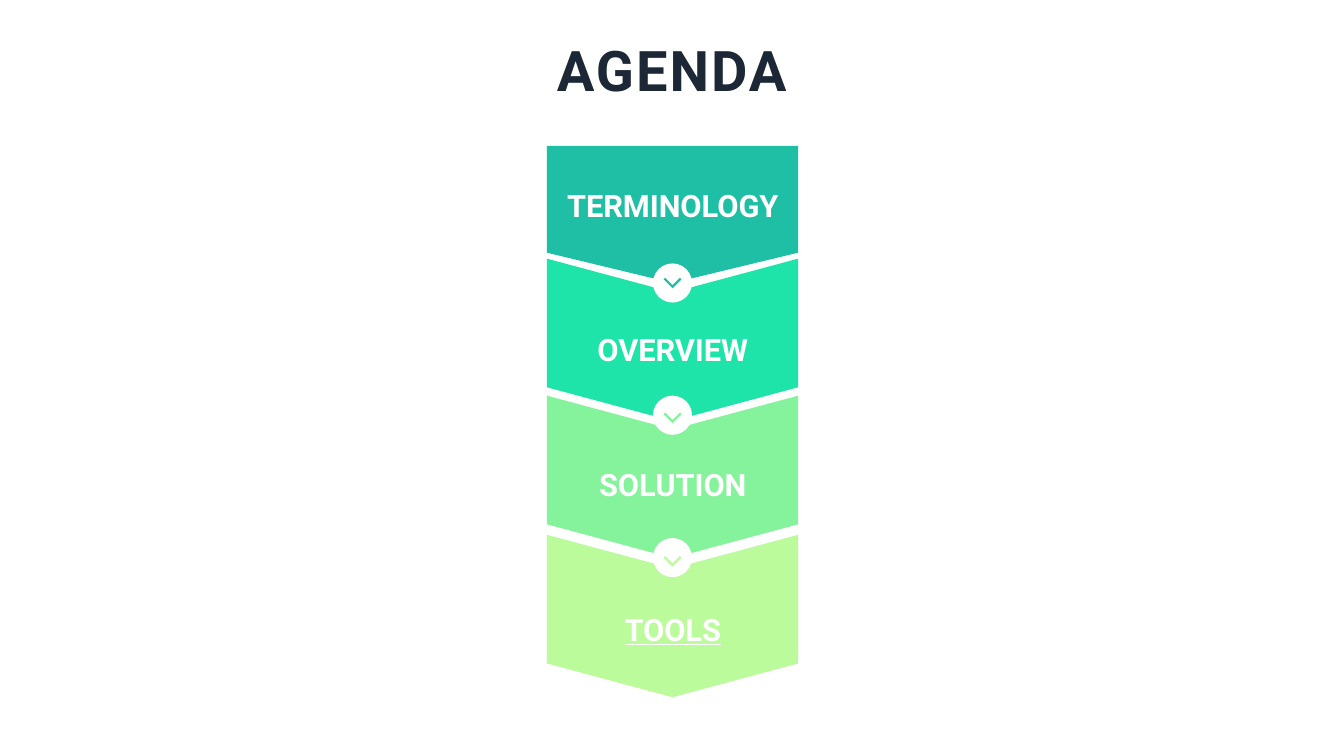
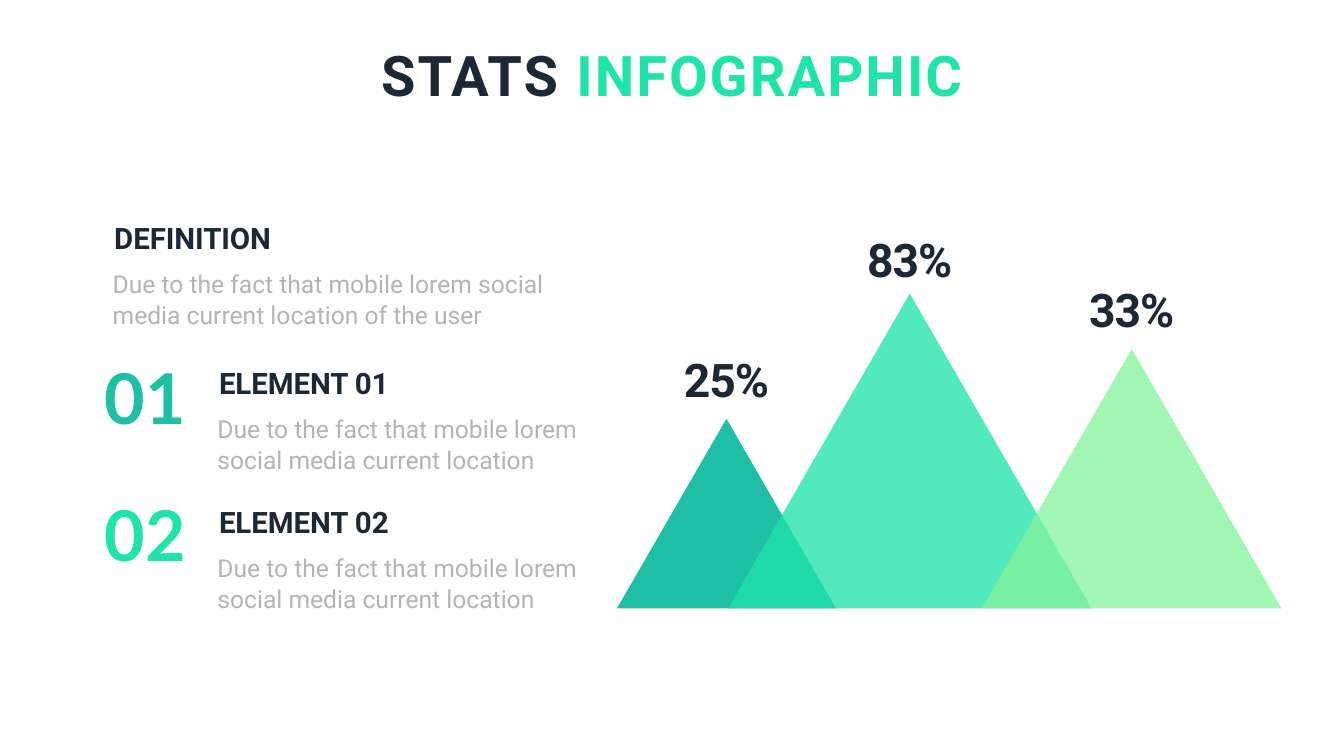
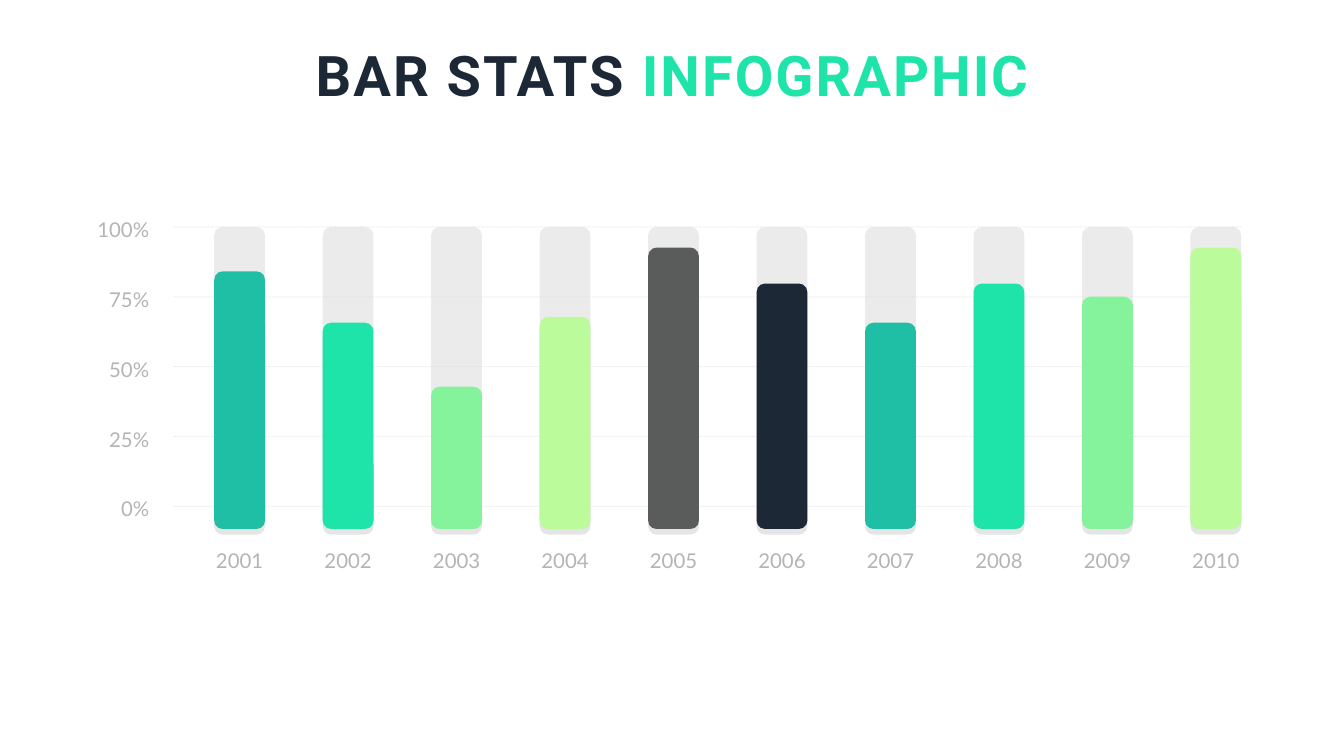
import dataclasses
import math
import typing

import lxml.etree
import pptx
import pptx.dml.color
import pptx.enum.dml
import pptx.enum.shapes
import pptx.enum.text
import pptx.oxml.ns
import pptx.util

Cm = pptx.util.Cm
Pt = pptx.util.Pt
KIND = pptx.enum.shapes.MSO_SHAPE
ALIGN = pptx.enum.text.PP_ALIGN
ANCHOR = pptx.enum.text.MSO_ANCHOR

TEAL, MINT, GREEN, LIME = "1EBFA4", "1FE4A9", "84F39B", "BBFB9B"
INK, SLATE, GREY, TRACK = "1C2835", "5A5C5B", "B4B4B4", "D9D9D9"
WHITE, BLACK = "FFFFFF", "000000"
WIDE, HIGH = 25.4, 14.29
MID = WIDE / 2


@dataclasses.dataclass(frozen=True)
class Style:
    size: float
    color: str
    font: str = "Roboto"
    bold: bool = True
    align: typing.Any = ALIGN.LEFT
    track: float = 0
    space: typing.Any = None
    inset: tuple = (0.25, 0.13)
    anchor: typing.Any = ANCHOR.TOP
    wrap: bool = False
    grow: bool = True


@dataclasses.dataclass(frozen=True)
class Band:
    text: str
    kind: typing.Any
    top: float
    length: float
    notch: float
    color: str
    line: float


@dataclasses.dataclass(frozen=True)
class Badge:
    disc: float
    arrow: float
    color: str


@dataclasses.dataclass(frozen=True)
class Peak:
    text: str
    left: float
    width: float
    label: float
    color: str
    alpha: int


@dataclasses.dataclass(frozen=True)
class Item:
    head: str
    body: str
    left: float
    top: float
    width: float


@dataclasses.dataclass(frozen=True)
class Bar:
    height: float
    color: str


TITLE = Style(30, INK, align=ALIGN.CENTER, track=1.1, inset=(0, 0), anchor=ANCHOR.MIDDLE)
BAND = Style(16.5, WHITE, align=ALIGN.CENTER)
HEAD = Style(15.75, INK)
BODY = Style(13.13, GREY, bold=False, space=Pt(16.6), wrap=True)
SHARE = Style(24.8, INK, align=ALIGN.CENTER, track=-0.6, inset=(0, 0), anchor=ANCHOR.MIDDLE)
TICK = Style(10.9, GREY, "Lato", False, ALIGN.RIGHT, space=0.95, inset=(0.18, 0.1))
YEAR = dataclasses.replace(TICK, align=ALIGN.CENTER, inset=(0, 0.1), grow=False)

BANDS = [
    Band("TERMINOLOGY", KIND.PENTAGON, 1.68, 2.59, 0.221, TEAL, 3.4),
    Band("OVERVIEW", KIND.CHEVRON, 4.05, 3.07, 0.208, MINT, 6.12),
    Band("SOLUTION", KIND.CHEVRON, 6.64, 3.07, 0.208, GREEN, 8.67),
    Band("TOOLS", KIND.CHEVRON, 9.27, 3.07, 0.208, LIME, 11.41),
]
BADGES = [Badge(4.98, 5.18, TEAL), Badge(7.48, 7.73, GREEN), Badge(10.17, 10.44, LIME)]
ARROW = [(0, 0.03), (0.03, 0), (0.2, 0.17), (0.03, 0.34), (0, 0.31), (0.14, 0.17)]

PEAKS = [
    Peak("25%", 11.66, 4.14, 6.63, TEAL, 100),
    Peak("83%", 13.76, 6.87, 4.37, MINT, 77),
    Peak("33%", 18.56, 5.66, 5.31, GREEN, 75),
]
SHORT = "Due to the fact that mobile lorem social media current location"
ITEMS = [
    Item("DEFINITION", SHORT + " of the user", 1.91, 4.03, 9.7),
    Item("ELEMENT 01", SHORT, 3.89, 6.78, 7.8),
    Item("ELEMENT 02", SHORT, 3.89, 9.4, 7.8),
]
MARKS = [("01", 6.58, TEAL), ("02", 9.17, MINT)]

BARS = [
    Bar(4.87, TEAL), Bar(3.9, MINT), Bar(2.69, GREEN), Bar(4.01, LIME), Bar(5.32, SLATE),
    Bar(4.64, INK), Bar(3.9, TEAL), Bar(4.64, MINT), Bar(4.39, GREEN), Bar(5.32, LIME),
]


def tint(fill: typing.Any, color: str) -> None:
    fill.solid()
    fill.fore_color.rgb = pptx.dml.color.RGBColor.from_string(color)


def node(root: typing.Any, tag: str, **keys: str) -> typing.Any:
    return lxml.etree.SubElement(root, pptx.oxml.ns.qn(tag), **keys)


def fade(shape: typing.Any, alpha: int) -> None:
    if alpha < 100:
        color = next(shape.element.spPr.iter(pptx.oxml.ns.qn("a:srgbClr")))
        node(color, "a:alpha", val=str(alpha * 1000))


def paint(shape: typing.Any, color: str, alpha: int = 100) -> None:
    tint(shape.fill, color)
    shape.line.fill.background()
    shape.shadow.inherit = False
    fade(shape, alpha)


def form(slide: typing.Any, kind: typing.Any, left: float, top: float, width: float,
         height: float, color: str, alpha: int = 100) -> typing.Any:
    shape = slide.shapes.add_shape(kind, Cm(left), Cm(top), Cm(width), Cm(height))
    paint(shape, color, alpha)
    return shape


def trace(shapes: typing.Any, points: list, left: float, top: float, color: str,
          alpha: int = 100) -> typing.Any:
    spots = [(Cm(x), Cm(y)) for x, y in points]
    pen = shapes.build_freeform(*spots[0])
    pen.add_line_segments(spots[1:], close=True)
    shape = pen.convert_to_shape(Cm(left), Cm(top))
    paint(shape, color, alpha)
    return shape


def write(slide: typing.Any, parts: list, left: float, top: float, width: float,
          height: float, style: Style, under: bool = False) -> None:
    box = slide.shapes.add_textbox(Cm(left), Cm(top), Cm(width), Cm(height))
    frame = box.text_frame
    frame.word_wrap = style.wrap
    if style.grow:
        frame.auto_size = pptx.enum.text.MSO_AUTO_SIZE.SHAPE_TO_FIT_TEXT
    frame.vertical_anchor = style.anchor
    frame.margin_left = frame.margin_right = Cm(style.inset[0])
    frame.margin_top = frame.margin_bottom = Cm(style.inset[1])
    line = frame.paragraphs[0]
    line.alignment = style.align
    if style.space:
        line.line_spacing = style.space
    for text, color in parts:
        run = line.add_run()
        run.text = text
        run.font.name = style.font
        run.font.size = Pt(style.size)
        run.font.bold = style.bold
        if under:
            run.font.underline = True
        tint(run.font.fill, color)
        if style.track:
            run.font._element.set("spc", str(round(style.track * 100)))


def label(slide: typing.Any, text: str, left: float, top: float, width: float,
          height: float, style: Style, under: bool = False) -> None:
    write(slide, [(text, style.color)], left, top, width, height, style, under)


def title(slide: typing.Any, parts: list, top: float, width: float) -> None:
    write(slide, parts, MID - width / 2, top, width, 1.27, TITLE)


def rule(slide: typing.Any, left: float, right: float, top: float) -> None:
    line = slide.shapes.add_connector(
        pptx.enum.shapes.MSO_CONNECTOR.STRAIGHT, Cm(left), Cm(top), Cm(right), Cm(top))
    tint(line.line.fill, GREY)
    line.line.width = Pt(0.5)
    line.line.dash_style = pptx.enum.dml.MSO_LINE.SQUARE_DOT
    fade(line, 20)
    node(line.element.spPr, "a:effectLst")


def shade(shape: typing.Any) -> None:
    effects = shape.element.spPr.find(pptx.oxml.ns.qn("a:effectLst"))
    cast = node(effects, "a:outerShdw", blurRad="0", dist=str(Pt(3)), dir="5400000",
                algn="t", rotWithShape="0")
    node(node(cast, "a:srgbClr", val=BLACK), "a:alpha", val="10000")


def agenda(slide: typing.Any) -> None:
    axis = MID + 0.01
    title(slide, [("AGENDA", INK)], 0.68, 7.87)
    for band in BANDS:
        shape = form(slide, band.kind, axis - band.length / 2, band.top, band.length, 4.75,
                     band.color)
        shape.rotation = 90
        shape.adjustments[0] = band.notch
    for badge in BADGES:
        form(slide, KIND.OVAL, axis - 0.37, badge.disc, 0.74, 0.74, WHITE)
    for badge in BADGES:
        arrow = trace(slide.shapes, ARROW, axis - 0.1, badge.arrow, badge.color)
        arrow.rotation = 90
    for band in BANDS:
        style = dataclasses.replace(BAND, wrap=band.text != "TERMINOLOGY")
        label(slide, band.text, axis - 2.46, band.line, 4.93, 0.97, style,
              band.text == "TOOLS")


def stats(slide: typing.Any) -> None:
    base = 11.5
    group = slide.shapes.add_group_shape()
    for peak in PEAKS:
        rise = peak.width * math.sqrt(3) / 2
        points = [(peak.width / 2, 0), (0, rise), (peak.width, rise)]
        trace(group.shapes, points, peak.left, base - rise, peak.color, peak.alpha)
    for text, top, color in MARKS:
        style = Style(37.5, color, "Lato", align=ALIGN.CENTER)
        label(slide, text, 1.72, top, 2.06, 1.85, style)
    for item in ITEMS:
        label(slide, item.head, item.left, item.top, 3.76, 0.94, HEAD)
        label(slide, item.body, item.left - 0.03, item.top + 0.89, item.width, 1.47, BODY)
    for peak in PEAKS:
        label(slide, peak.text, peak.left + peak.width / 2 - 1, peak.label, 2, 1.07, SHARE)
    title(slide, [("STATS ", INK), ("INFOGRAPHIC", MINT)], 0.76, 11.18)


def chart(slide: typing.Any) -> None:
    top, foot, step, width = 4.29, 10, 1.32, 0.96
    for row in range(5):
        rule(slide, 3.27, 23.47, top + row * step)
        label(slide, f"{100 - 25 * row}%", 1.63, top - 0.25 + row * step, 1.37, 0.64, TICK)
    for col, bar in enumerate(BARS):
        left = 4.05 + col * 2.05
        form(slide, KIND.ROUNDED_RECTANGLE, left, top, width, foot - top, TRACK, 50)
        shape = form(slide, KIND.ROUNDED_RECTANGLE, left, foot - bar.height, width,
                     bar.height, bar.color)
        shade(shape)
        label(slide, str(2001 + col), left - 0.02, 10.29, width + 0.04, 0.71, YEAR)
    title(slide, [("BAR STATS ", INK), ("INFOGRAPHIC", MINT)], 0.76, 13.69)


def main() -> None:
    deck = pptx.Presentation()
    deck.slide_width, deck.slide_height = Cm(WIDE), Cm(HIGH)
    for draw in (agenda, stats, chart):
        slide = deck.slides.add_slide(deck.slide_layouts[6])
        tint(slide.background.fill, WHITE)
        draw(slide)
    deck.save("out.pptx")


if __name__ == "__main__":
    main()
